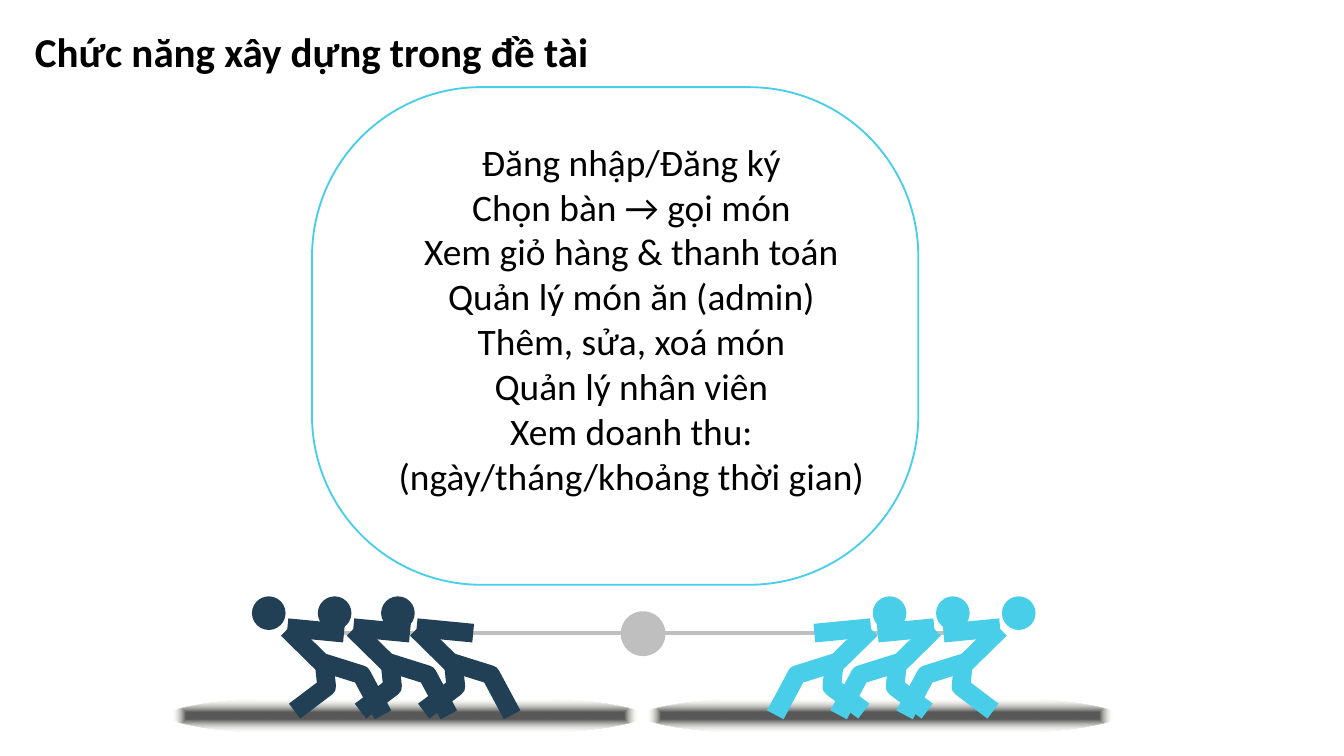
from lxml.etree import SubElement
from pptx import Presentation
from pptx.dml.color import RGBColor
from pptx.enum.shapes import MSO_CONNECTOR, MSO_SHAPE
from pptx.enum.text import MSO_ANCHOR, MSO_AUTO_SIZE, PP_ALIGN
from pptx.oxml import parse_xml
from pptx.oxml.ns import nsdecls, qn
from pptx.util import Pt

TITLE = "Chức năng xây dựng trong đề tài"
FEATURES = [
    "Đăng nhập/Đăng ký",
    "Chọn bàn → gọi món",
    "Xem giỏ hàng & thanh toán",
    "Quản lý món ăn (admin)",
    "Thêm, sửa, xoá món",
    "Quản lý nhân viên",
    "Xem doanh thu: (ngày/tháng/khoảng thời gian)",
]

BLACK = RGBColor(0x00, 0x00, 0x00)
NAVY = RGBColor(0x21, 0x40, 0x55)
CYAN = RGBColor(0x49, 0xCE, 0xE9)
GREY = RGBColor(0xBF, 0xBF, 0xBF)

# One puller, as offsets from the shoulder; the right team is its mirror.
SHOULDER_Y = 337
SHOULDERS_X = [154, 189.3, 223.2]
MIRROR_SUM = 689.8
LIMBS = [
    [(0, 0), (19.8, 19.5), (21, 31), (3.8, 44)],
    [(19, 18), (39.7, 24.5), (51.2, 46)],
]
ARM = [(0, -0.7), (30.3, 2.2)]
HEAD_CENTRE = (-10, -8.5)
HEAD_SIZE = 16

SHADOW_FILL = f"""<a:gradFill {nsdecls('a')} rotWithShape="1"><a:gsLst>
<a:gs pos="16000"><a:srgbClr val="595959"/></a:gs>
<a:gs pos="78000"><a:srgbClr val="EEECE1"><a:alpha val="0"/></a:srgbClr></a:gs>
</a:gsLst><a:path path="shape">
<a:fillToRect l="50000" t="50000" r="50000" b="50000"/></a:path></a:gradFill>"""


def write(sp, lines, box, size, bold=False, align=PP_ALIGN.LEFT, anchor=MSO_ANCHOR.TOP):
    sp.left, sp.top, sp.width, sp.height = map(Pt, box)
    tf = sp.text_frame
    tf.word_wrap = True
    tf.auto_size = MSO_AUTO_SIZE.NONE
    tf.vertical_anchor = anchor
    tf.text = "\n".join(lines)
    for p in tf.paragraphs:
        p.alignment = align
        p.space_before = Pt(0)
        pPr = p._p.get_or_add_pPr()
        pPr.set("marL", "0")
        pPr.set("indent", "0")
        SubElement(pPr, qn("a:buNone"))
        font = p.runs[0].font
        font.name, font.size, font.bold = "Calibri", Pt(size), bold
        font.color.rgb = BLACK


def add_shape(kind, box, fill=None, line=None, width=1):
    sp = slide.shapes.add_shape(kind, *map(Pt, box))
    sp.shadow.inherit = False
    if fill is None:
        sp.fill.background()
    else:
        sp.fill.solid()
        sp.fill.fore_color.rgb = fill
    if line is None:
        sp.line.fill.background()
    else:
        sp.line.color.rgb = line
        sp.line.width = Pt(width)
    return sp


def add_circle(centre, size, color, line=None):
    x, y = centre
    add_shape(MSO_SHAPE.OVAL, (x - size / 2, y - size / 2, size, size), color, line, 2)


def add_line(start, end, color, width):
    c = slide.shapes.add_connector(MSO_CONNECTOR.STRAIGHT, *map(Pt, (*start, *end)))
    c.line.color.rgb = color
    c.line.width = Pt(width)
    SubElement(c._element.spPr, qn("a:effectLst"))


def add_limb(points, color):
    points = [(Pt(x), Pt(y)) for x, y in points]
    builder = slide.shapes.build_freeform(*points[0])
    builder.add_line_segments(points[1:], close=False)
    sp = builder.convert_to_shape()
    sp.shadow.inherit = False
    sp.fill.background()
    sp.line.color.rgb = color
    sp.line.width = Pt(10)
    SubElement(sp.line._get_or_add_ln(), qn("a:round"))


def add_puller(shoulder_x, color, mirrored):
    def place(offset):
        x = shoulder_x + offset[0]
        return (MIRROR_SUM - x if mirrored else x), SHOULDER_Y + offset[1]

    for limb in LIMBS:
        add_limb([place(point) for point in limb], color)
    add_line(*map(place, ARM), color, 10)
    add_circle(place(HEAD_CENTRE), HEAD_SIZE, color, color)


prs = Presentation()
prs.slide_width, prs.slide_height = Pt(720), Pt(405)
slide = prs.slides.add_slide(prs.slide_layouts[1])
title, body = slide.placeholders

for left in (344.2, 90):
    shadow = add_shape(MSO_SHAPE.OVAL, (left, 371.5, 254.2, 23.8))
    spPr = shadow._element.spPr
    spPr.replace(spPr.find(qn("a:noFill")), parse_xml(SHADOW_FILL))

add_line((182, 339), (507, 339), GREY, 2)
for color, mirrored in ((NAVY, False), (CYAN, True)):
    for x in SHOULDERS_X:
        add_puller(x, color, mirrored)
add_circle((344.5, 339.5), 24, GREY)

frame = add_shape(MSO_SHAPE.ROUNDED_RECTANGLE, (167.2, 46.7, 324.8, 266.6), line=CYAN)
frame.adjustments[0] = 0.34

write(title, [TITLE], (11.5, 10.8, 406.8, 33.8), 22, bold=True)
write(body, FEATURES, (195, 70, 286.6, 201), 20,
      align=PP_ALIGN.CENTER, anchor=MSO_ANCHOR.MIDDLE)

prs.save("out.pptx")
